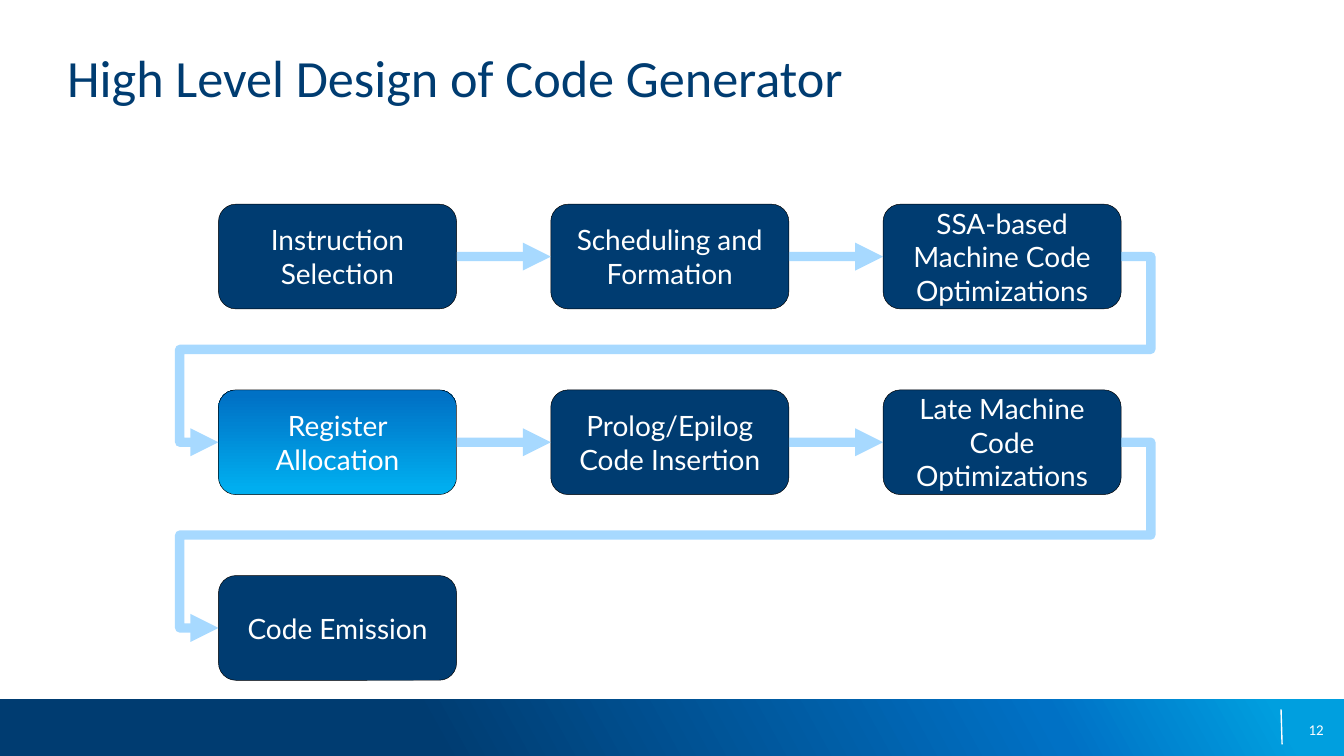
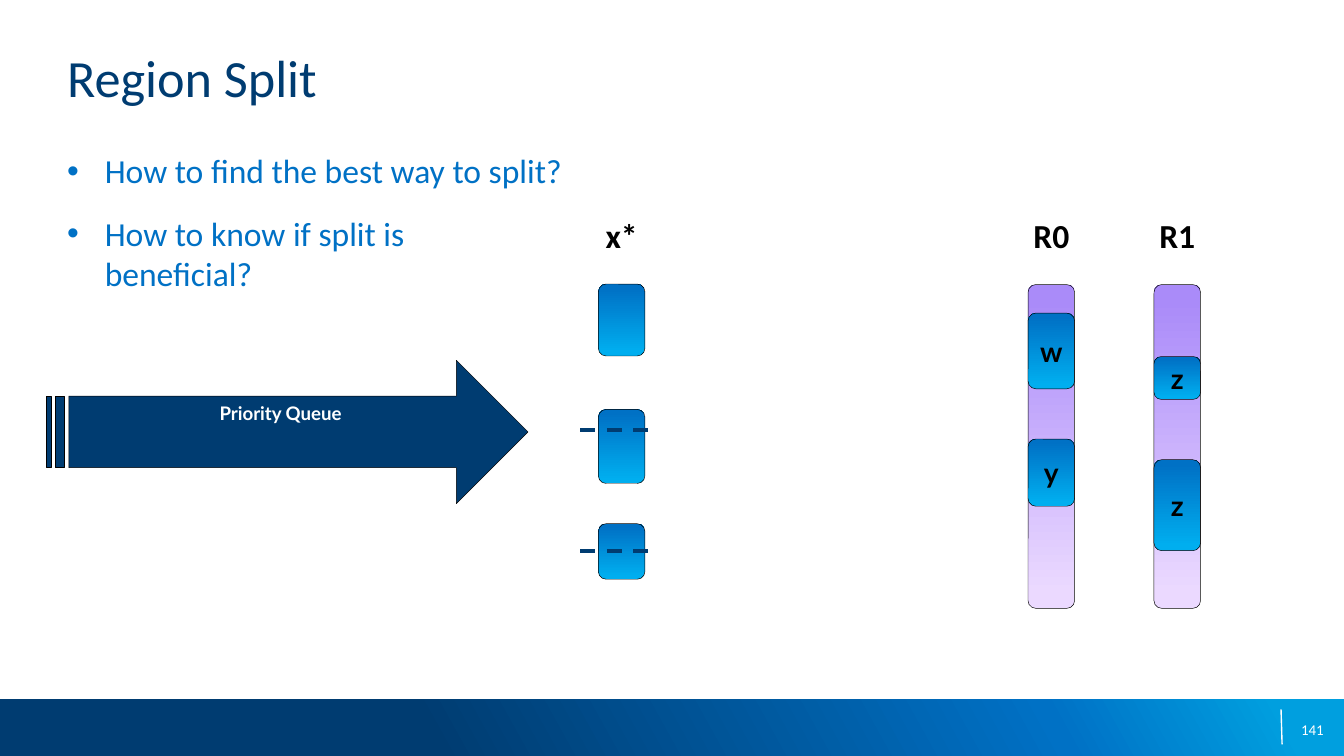
import pptx
import pptx.dml.color
import pptx.enum.dml
import pptx.enum.shapes
import pptx.enum.text
import pptx.oxml.ns
import pptx.util
from lxml import etree

Cm = pptx.util.Cm
Pt = pptx.util.Pt
RGBColor = pptx.dml.color.RGBColor
MSO_SHAPE = pptx.enum.shapes.MSO_SHAPE
MSO_CONNECTOR = pptx.enum.shapes.MSO_CONNECTOR
MSO_ANCHOR = pptx.enum.text.MSO_ANCHOR
MSO_AUTO_SIZE = pptx.enum.text.MSO_AUTO_SIZE
PP_ALIGN = pptx.enum.text.PP_ALIGN
qn = pptx.oxml.ns.qn

NAVY = RGBColor(0x00, 0x3C, 0x71)
BLUE = RGBColor(0x00, 0x71, 0xC5)
CYAN = RGBColor(0x00, 0xAE, 0xEF)
BAND_END = RGBColor(0x00, 0x9F, 0xDF)
LILAC = RGBColor(0xEB, 0xD9, 0xFF)
PURPLE = RGBColor(0xAA, 0x8B, 0xF9)
ARROW = RGBColor(0x72, 0xC3, 0xFF)
WHITE = RGBColor(0xFF, 0xFF, 0xFF)
BLACK = RGBColor(0x00, 0x00, 0x00)

# Gradients: (stops as percent and colour, clockwise angle)
BAND_FILL = ([(32, NAVY), (78, BLUE), (95, BAND_END)], 331)
LIVE_FILL = ([(5, CYAN), (95, BLUE)], 270)
REGISTER_FILL = ([(5, LILAC), (95, PURPLE)], 270)

TITLE_FONT = {"name": "Calibri", "size": Pt(28)}
BODY_FONT = {"name": "Calibri", "size": Pt(18)}
LABEL_FONT = {"name": "Calibri", "size": Pt(18), "bold": True}
NUMBER_FONT = {"name": "Calibri", "size": Pt(8)}
STAGE_FONT = {"name": "Lato", "size": Pt(15)}
RANGE_FONT = {"name": "Lato", "size": Pt(15), "bold": True}
QUEUE_FONT = {"name": "Lato", "size": Pt(10), "bold": True}

NO_INSETS = {"margin_left": 0, "margin_right": 0, "margin_top": 0, "margin_bottom": 0}
SHAPE_INSETS = {"margin_left": Cm(0.18), "margin_right": Cm(0.18),
                "margin_top": Cm(0.1), "margin_bottom": Cm(0.1)}
PLAIN_FRAME = {**NO_INSETS, "word_wrap": True, "auto_size": MSO_AUTO_SIZE.NONE,
               "vertical_anchor": MSO_ANCHOR.TOP}
NUMBER_FRAME = {**PLAIN_FRAME, "vertical_anchor": MSO_ANCHOR.MIDDLE}
LABEL_FRAME = {**PLAIN_FRAME, "auto_size": MSO_AUTO_SIZE.SHAPE_TO_FIT_TEXT}
STAGE_FRAME = {**SHAPE_INSETS, "word_wrap": True, "vertical_anchor": MSO_ANCHOR.MIDDLE}
RANGE_FRAME = {**STAGE_FRAME, "word_wrap": False}
QUEUE_FRAME = {**RANGE_FRAME, "vertical_anchor": MSO_ANCHOR.TOP}

BOX_W, BOX_H = 4.5, 1.98
LANE_W = 0.88


def apply(obj, values):
    for name, value in values.items():
        setattr(obj, name, value)


def cms(*lengths):
    return [Cm(v) for v in lengths]


def write(tf, lines, frame, font, color, align=PP_ALIGN.CENTER):
    """Fill a text frame, one paragraph a line, and return its paragraphs."""
    apply(tf, frame)
    for i, line in enumerate(lines):
        p = tf.add_paragraph() if i else tf.paragraphs[0]
        p.text = line
        p.alignment = align
        for r in p.runs:
            apply(r.font, font)
            r.font.color.rgb = color
    return tf.paragraphs


def set_gradient(sp, stops, angle):
    sp.fill.gradient()
    grad = sp._element.spPr.find(qn("a:gradFill"))
    gs_lst = grad.find(qn("a:gsLst"))
    for gs in list(gs_lst):
        gs_lst.remove(gs)
    for percent, color in stops:
        gs = etree.SubElement(gs_lst, qn("a:gs"), pos=str(percent * 1000))
        etree.SubElement(gs, qn("a:srgbClr"), val=str(color))
    grad.find(qn("a:lin")).set("ang", str(angle * 60000))


def add_shape(slide, kind, box, fill, outlined=True):
    sp = slide.shapes.add_shape(kind, *cms(*box))
    sp.shadow.inherit = False
    if isinstance(fill, tuple) and not isinstance(fill, RGBColor):
        set_gradient(sp, *fill)
    else:
        sp.fill.solid()
        sp.fill.fore_color.rgb = fill
    if outlined:
        sp.line.color.rgb = BLACK
        sp.line.width = Pt(0.25)
    else:
        sp.line.fill.background()
    return sp


def add_text(slide, box, text, frame, font, color, align=PP_ALIGN.CENTER):
    sp = slide.shapes.add_textbox(*cms(*box))
    write(sp.text_frame, [text], frame, font, color, align)


def add_line(slide, color, width, ends=(0, 0, 0, 0), kind=MSO_CONNECTOR.STRAIGHT):
    line = slide.shapes.add_connector(kind, *cms(*ends))
    line.line.color.rgb = color
    line.line.width = Pt(width)
    etree.SubElement(line._element.spPr, qn("a:effectLst"))
    return line


def add_flow(slide, source, target, kind=MSO_CONNECTOR.STRAIGHT):
    """Arrow from the right side of one stage to the left side of the next."""
    line = add_line(slide, ARROW, 5, kind=kind)
    line.begin_connect(source, 3)
    line.end_connect(target, 1)
    ln = line._element.spPr.find(qn("a:ln"))
    etree.SubElement(ln.find(".//" + qn("a:srgbClr")), qn("a:alpha"), val="62000")
    etree.SubElement(ln, qn("a:tailEnd"), type="triangle")
    return line


def add_row_return(slide, source, target):
    """Bent arrow from the end of one row round to the start of the next."""
    line = add_flow(slide, source, target, MSO_CONNECTOR.ELBOW)
    geom = line._element.spPr.find(qn("a:prstGeom"))
    geom.set("prst", "bentConnector5")
    av_lst = geom.find(qn("a:avLst"))
    if av_lst is None:
        av_lst = etree.SubElement(geom, qn("a:avLst"))
    for i, value in enumerate((-3300, 50000, 104300), 1):
        etree.SubElement(av_lst, qn("a:gd"), name=f"adj{i}", fmla=f"val {value}")


def place(sp, box):
    apply(sp, dict(zip(("left", "top", "width", "height"), cms(*box))))


def add_slide(prs, layout, title, number):
    slide = prs.slides.add_slide(prs.slide_layouts[layout])
    add_shape(slide, MSO_SHAPE.RECTANGLE, (0, 13.22, 25.4, 1.07), BAND_FILL, False)
    add_line(slide, WHITE, 0.75, (24.21, 13.41, 24.23, 14.07))
    add_text(slide, (19.1, 13.41, 5.92, 0.76), number, NUMBER_FRAME, NUMBER_FONT,
             WHITE, PP_ALIGN.RIGHT)
    place(slide.shapes.title, (1.27, 0.86, 22.86, 1.85))
    write(slide.shapes.title.text_frame, [title], PLAIN_FRAME, TITLE_FONT, NAVY,
          PP_ALIGN.LEFT)
    return slide


def add_bullets(slide, lines):
    body = slide.placeholders[1]
    place(body, (1.27, 2.84, 22.86, 9.53))
    for p in write(body.text_frame, lines, PLAIN_FRAME, BODY_FONT, BLUE, PP_ALIGN.LEFT):
        p.space_before = Pt(12)
        pPr = p._p.get_or_add_pPr()
        pPr.set("marL", str(Cm(0.71)))
        pPr.set("indent", str(-Cm(0.71)))


def add_stage(slide, row, col, text, fill):
    box = (4.13 + 6.28 * col, 3.86 + 3.51 * row, BOX_W, BOX_H)
    sp = add_shape(slide, MSO_SHAPE.ROUNDED_RECTANGLE, box, fill)
    write(sp.text_frame, [text], STAGE_FRAME, STAGE_FONT, WHITE)
    return sp


def add_range(slide, left, top, height, text="", fill=LIVE_FILL):
    sp = add_shape(slide, MSO_SHAPE.ROUNDED_RECTANGLE, (left, top, LANE_W, height), fill)
    if text:
        write(sp.text_frame, [text], RANGE_FRAME, RANGE_FONT, BLACK)


def add_lane(slide, left, label, ranges, is_register=True):
    """Column of live ranges under a label, on a bar if it is a register."""
    add_text(slide, (left - 0.06, 4.06, 1, 0.77), label, LABEL_FRAME, LABEL_FONT, BLACK)
    if is_register:
        add_range(slide, left, 5.38, 6.12, fill=REGISTER_FILL)
    for live_range in ranges:
        add_range(slide, left, *live_range)


def build_design(prs):
    slide = add_slide(prs, 5, "High Level Design of Code Generator", "12")
    rows = [
        ["Instruction Selection", "Scheduling and Formation",
         "SSA-based Machine Code Optimizations"],
        ["Register Allocation", "Prolog/Epilog Code Insertion",
         "Late Machine Code Optimizations"],
        ["Code Emission"],
    ]
    last = None
    for row, texts in enumerate(rows):
        for col, text in enumerate(texts):
            fill = LIVE_FILL if text == "Register Allocation" else NAVY
            stage = add_stage(slide, row, col, text, fill)
            if last is not None:
                connect = add_flow if col else add_row_return
                connect(slide, last, stage)
            last = stage


def build_split(prs):
    slide = add_slide(prs, 1, "Region Split", "141")
    add_bullets(slide, ["How to find the best way to split?",
                        "How to know if split is\nbeneficial?"])
    add_lane(slide, 19.43, "R0", [(5.92, 1.43, "w"), (8.3, 1.27, "y")])
    add_lane(slide, 21.81, "R1", [(6.74, 0.81, "z"), (8.69, 1.72, "z")])
    add_lane(slide, 11.31, "x*", [(5.37, 1.36), (7.74, 1.4), (9.9, 1.05)], False)
    queue = add_shape(slide, MSO_SHAPE.STRIPED_RIGHT_ARROW, (0.88, 6.81, 9.1, 2.71), NAVY)
    write(queue.text_frame, ["Priority Queue"], QUEUE_FRAME, QUEUE_FONT, WHITE)
    for y in (8.13, 10.42):
        cut = add_line(slide, NAVY, 2, (10.97, y, 12.45, y))
        cut.line.dash_style = pptx.enum.dml.MSO_LINE.DASH


def main():
    prs = pptx.Presentation()
    prs.slide_width, prs.slide_height = Cm(25.4), Cm(14.29)
    build_design(prs)
    build_split(prs)
    prs.save("out.pptx")


if __name__ == "__main__":
    main()
